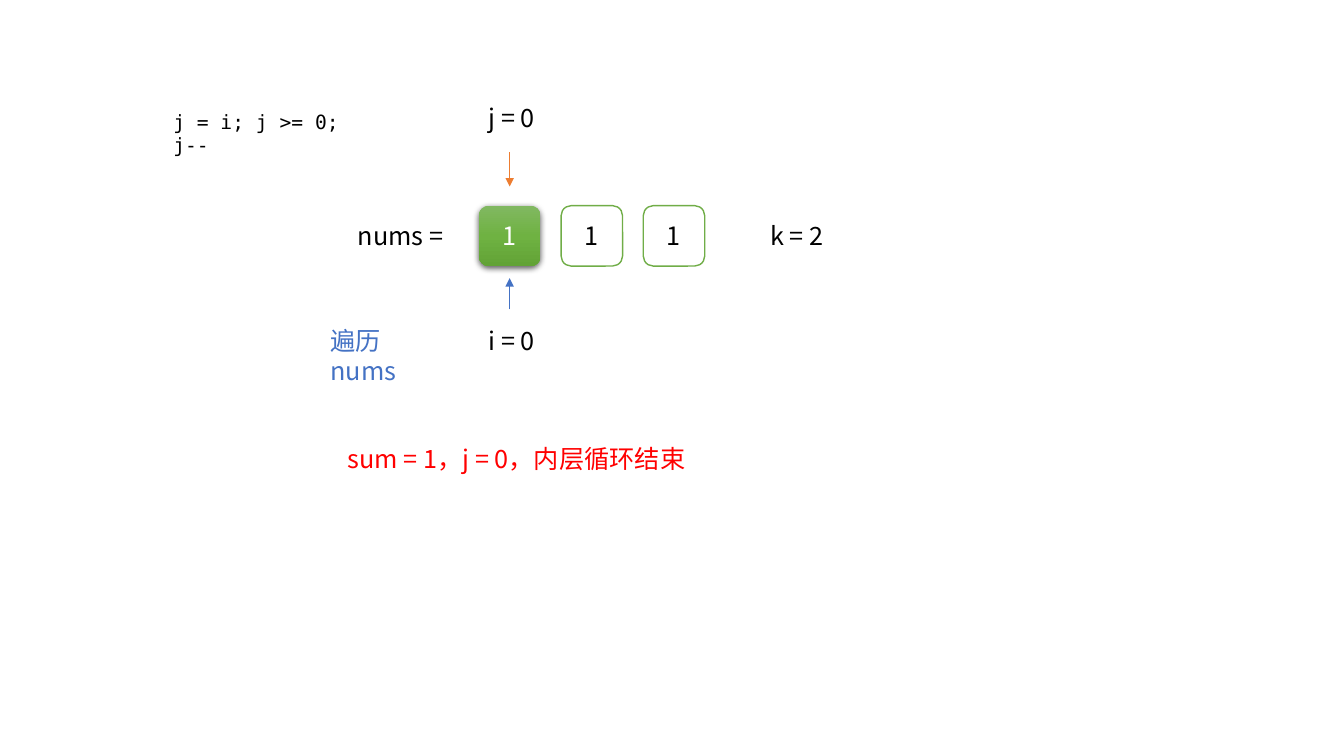
from lxml import etree
from pptx import Presentation
from pptx.dml.color import RGBColor
from pptx.enum import shapes, text
from pptx.oxml import ns, parse_xml
from pptx.util import Inches, Pt

COLORS = {"black": "000000", "white": "FFFFFF", "green": "70AD47",
          "blue": "4472C4", "orange": "ED7D31", "red": "FF0000"}
GRADIENT = [(0, "81B861"), (50, "6FB242"), (100, "62A336")]
SANS, MONO = "Noto Sans CJK SC", "DejaVu Sans Mono"

# Content: the array, its current index and the labels around it
NUMS, CURRENT = ["1", "1", "1"], 0
CELL_LEFT, CELL_TOP, CELL_WIDTH, CELL_HEIGHT, CELL_PITCH = 4.75, 2.04, 0.61, 0.6, 0.815
# text, left, top, width, height, size, font, colour, wraps, right inset
LABELS = [
    ("k = 2", 7.54, 2.14, 0.76, 0.4, 18, SANS, "black", False, 0.1),
    ("nums = ", 3.45, 2.14, 1.1, 0.4, 18, SANS, "black", False, 0.1),
    ("遍历 nums", 3.18, 3.18, 1.37, 0.4, 18, SANS, "blue", True, 0.2),
    ("i = 0", 4.75, 3.18, 0.7, 0.4, 18, SANS, "black", False, 0.1),
    ("j = 0", 4.75, 0.97, 0.7, 0.4, 18, SANS, "black", False, 0.1),
    ("j = i; j >= 0; j--", 1.62, 1.04, 2.28, 0.34, 14, MONO, "black", True, 0.4),
    ("sum = 1，j = 0，内层循环结束", 3.35, 4.35, 3.67, 0.4, 18, SANS, "red", True, 0.1),
]
# start, end, colour
POINTERS = [(3.07, 2.76, "blue"), (1.51, 1.85, "orange")]

deck = Presentation()
deck.slide_width, deck.slide_height = Inches(13.33), Inches(7.5)
page = deck.slides.add_slide(deck.slide_layouts[6])


def rgb(name):
    return RGBColor.from_string(COLORS[name])


def write(para, words, size, font, color):
    span = para.add_run()
    span.text = words
    span.font.size, span.font.name = Pt(size), font
    span.font.color.rgb = rgb(color)
    east_asian = etree.SubElement(span.font._element, ns.qn("a:ea"))
    east_asian.set("typeface", font)


def highlight(cell):
    """Vertical green gradient with a soft shadow below."""
    stops = "".join(f'<a:gs pos="{pos * 1000}"><a:srgbClr val="{color}"/></a:gs>'
                    for pos, color in GRADIENT)
    cell.line.fill.background()
    cell.fill.background()
    properties = cell._element.spPr
    properties.replace(properties.find(ns.qn("a:noFill")), parse_xml(
        f'<a:gradFill {ns.nsdecls("a")} rotWithShape="1"><a:gsLst>{stops}</a:gsLst>'
        '<a:lin ang="5400000" scaled="0"/></a:gradFill>'))
    effects = properties.find(ns.qn("a:effectLst"))
    effects.append(parse_xml(
        f'<a:outerShdw {ns.nsdecls("a")} blurRad="{Pt(4.5)}" dist="{Pt(1.5)}" '
        'dir="5400000" algn="ctr" rotWithShape="0"><a:srgbClr val="000000">'
        '<a:alpha val="63000"/></a:srgbClr></a:outerShdw>'))


# Array cells
for index, value in enumerate(NUMS):
    cell = page.shapes.add_shape(
        shapes.MSO_SHAPE.ROUNDED_RECTANGLE, Inches(CELL_LEFT + index * CELL_PITCH),
        Inches(CELL_TOP), Inches(CELL_WIDTH), Inches(CELL_HEIGHT))
    cell.shadow.inherit = False
    if index == CURRENT:
        highlight(cell)
    else:
        cell.fill.solid()
        cell.fill.fore_color.rgb = rgb("white")
        cell.line.color.rgb = rgb("green")
        cell.line.width = Pt(1)
    cell.text_frame.vertical_anchor = text.MSO_ANCHOR.MIDDLE
    para = cell.text_frame.paragraphs[0]
    para.alignment = text.PP_ALIGN.CENTER
    write(para, value, 18, SANS, "white" if index == CURRENT else "black")

# Labels
for words, left, top, width, height, size, font, color, wraps, inset in LABELS:
    box = page.shapes.add_textbox(Inches(left), Inches(top), Inches(width), Inches(height))
    frame = box.text_frame
    frame.word_wrap = wraps
    frame.auto_size = text.MSO_AUTO_SIZE.SHAPE_TO_FIT_TEXT
    frame.margin_right = Inches(inset)
    write(frame.paragraphs[0], words, size, font, color)

# Index pointers, centred on the current cell
pointer_x = Inches(CELL_LEFT + CURRENT * CELL_PITCH + CELL_WIDTH / 2)
for start, end, color in POINTERS:
    arrow = page.shapes.add_connector(shapes.MSO_CONNECTOR.STRAIGHT, pointer_x,
                                      Inches(start), pointer_x, Inches(end))
    arrow.line.color.rgb = rgb(color)
    arrow.line.width = Pt(0.5)
    etree.SubElement(arrow.line._get_or_add_ln(), ns.qn("a:tailEnd")).set("type", "triangle")
    etree.SubElement(arrow._element.spPr, ns.qn("a:effectLst"))

deck.save("out.pptx")
